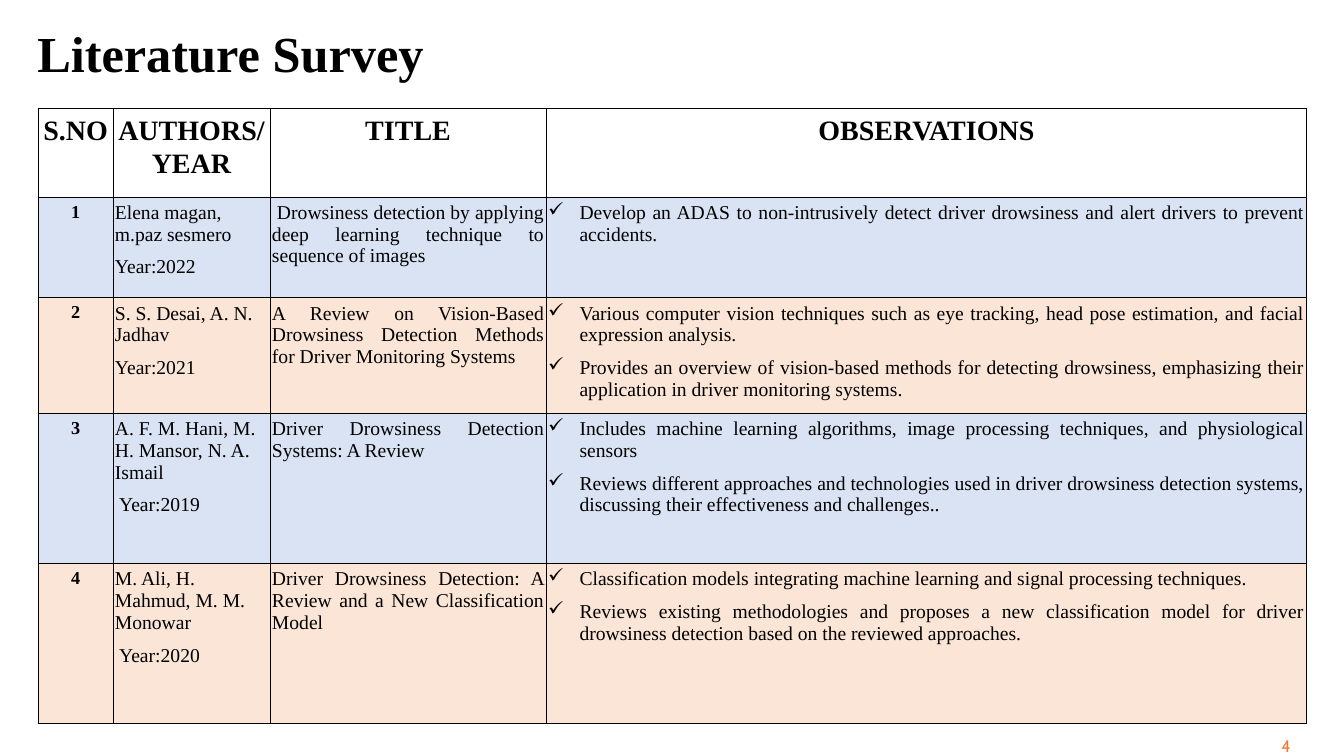
from lxml.etree import SubElement
from pptx import Presentation
from pptx.dml.color import RGBColor
from pptx.enum.text import MSO_ANCHOR, PP_ALIGN
from pptx.oxml import parse_xml
from pptx.oxml.ns import nsdecls, qn
from pptx.util import Pt

COLORS = {
    "text": "000000",
    "border": "000000",
    "header": "FFFFFF",
    "odd": "DAE3F3",
    "even": "FBE5D6",
    "number": "ED7D31",
}
SERIF = "Times New Roman"
COLUMN_WIDTHS = [53.3, 112.3, 197.3, 543.6]
ROW_HEIGHTS = [63.4, 72, 75.6, 107.3, 114.5]
HEADINGS = ["S.NO", "AUTHORS/YEAR", "TITLE", "OBSERVATIONS"]
# Each paper: authors and year, title, observations
PAPERS = [
    (["Elena magan, m.paz sesmero", "Year:2022"],
     " Drowsiness detection by applying deep learning technique to sequence of images",
     ["Develop an ADAS to non-intrusively detect driver drowsiness and alert drivers "
      "to prevent accidents."]),
    (["S. S. Desai, A. N. Jadhav", "Year:2021"],
     "A Review on Vision-Based Drowsiness Detection Methods for Driver Monitoring Systems",
     ["Various computer vision techniques such as eye tracking, head pose estimation, "
      "and facial expression analysis.",
      "Provides an overview of vision-based methods for detecting drowsiness, emphasizing "
      "their application in driver monitoring systems."]),
    (["A. F. M. Hani, M. H. Mansor, N. A. Ismail", " Year:2019"],
     "Driver Drowsiness Detection Systems: A Review",
     ["Includes machine learning algorithms, image processing techniques, and "
      "physiological sensors",
      "Reviews different approaches and technologies used in driver drowsiness detection "
      "systems, discussing their effectiveness and challenges.."]),
    (["M. Ali, H. Mahmud, M. M. Monowar", " Year:2020"],
     "Driver Drowsiness Detection: A Review and a New Classification Model",
     ["Classification models integrating machine learning and signal processing techniques.",
      "Reviews existing methodologies and proposes a new classification model for driver "
      "drowsiness detection based on the reviewed approaches."]),
]


def add_run(paragraph, text, size, color="text", font=SERIF, bold=False):
    run = paragraph.add_run()
    run.text = text
    run.font.name = font
    run.font.size = Pt(size)
    run.font.bold = bold
    run.font.color.rgb = RGBColor.from_string(COLORS[color])


def add_text_box(slide, box, align):
    frame = slide.shapes.add_textbox(*map(Pt, box)).text_frame
    frame.word_wrap = True
    frame.vertical_anchor = MSO_ANCHOR.MIDDLE
    paragraph = frame.paragraphs[0]
    paragraph.alignment = align
    return paragraph


def add_check_mark(paragraph):
    properties = paragraph._p.get_or_add_pPr()
    properties.set("marL", str(Pt(22.5)))
    properties.set("indent", str(-Pt(22.5)))
    bullet_color = SubElement(properties, qn("a:buClr"))
    SubElement(bullet_color, qn("a:srgbClr")).set("val", COLORS["text"])
    SubElement(properties, qn("a:buChar")).set("char", "✓")


def style_cell(cell, fill):
    cell.margin_left = cell.margin_right = Pt(1.4)
    cell.margin_top = cell.margin_bottom = Pt(3.6)
    cell.fill.solid()
    cell.fill.fore_color.rgb = RGBColor.from_string(COLORS[fill])
    for index, side in enumerate(["lnL", "lnR", "lnT", "lnB"]):
        border = parse_xml(
            f'<a:{side} {nsdecls("a")} w="{Pt(0.45)}"><a:solidFill>'
            f'<a:srgbClr val="{COLORS["border"]}"/></a:solidFill></a:{side}>')
        cell._tc.get_or_add_tcPr().insert(index, border)


def fill_cell(cell, texts, fill, size, align, bold=False, spacing=None, checked=False):
    style_cell(cell, fill)
    frame = cell.text_frame
    for index, text in enumerate(texts):
        paragraph = frame.add_paragraph() if index else frame.paragraphs[0]
        paragraph.alignment = align
        paragraph.space_after = Pt(8)
        if spacing:
            paragraph.line_spacing = spacing
        if checked:
            add_check_mark(paragraph)
        add_run(paragraph, text, size, bold=bold)


def add_title(slide, box):
    paragraph = add_text_box(slide, box, PP_ALIGN.LEFT)
    paragraph.line_spacing = 0.9
    add_run(paragraph, "Literature Survey", 36, bold=True)


def add_survey_table(slide, left, top):
    table = slide.shapes.add_table(
        len(ROW_HEIGHTS), len(COLUMN_WIDTHS), Pt(left), Pt(top),
        Pt(sum(COLUMN_WIDTHS)), Pt(sum(ROW_HEIGHTS))).table
    for column, width in zip(table.columns, COLUMN_WIDTHS):
        column.width = Pt(width)
    for row, height in zip(table.rows, ROW_HEIGHTS):
        row.height = Pt(height)

    # Heading row
    for column, heading in enumerate(HEADINGS):
        fill_cell(table.cell(0, column), [heading], "header", 20,
                  PP_ALIGN.CENTER, bold=True, spacing=1.07)

    # One row per paper
    for row, (authors, title, observations) in enumerate(PAPERS, start=1):
        fill = "odd" if row % 2 else "even"
        number_cell, authors_cell, title_cell, observations_cell = table.rows[row].cells
        fill_cell(number_cell, [str(row)], fill, 13, PP_ALIGN.CENTER, bold=True)
        fill_cell(authors_cell, authors, fill, 14, PP_ALIGN.LEFT)
        fill_cell(title_cell, [title], fill, 14, PP_ALIGN.JUSTIFY)
        fill_cell(observations_cell, observations, fill, 14, PP_ALIGN.JUSTIFY, checked=True)


def add_slide_number(slide, box):
    paragraph = add_text_box(slide, box, PP_ALIGN.RIGHT)
    add_run(paragraph, "4", 12, color="number", font="Cabin")


def main():
    presentation = Presentation()
    presentation.slide_width = Pt(960.5)
    presentation.slide_height = Pt(540)
    slide = presentation.slides.add_slide(presentation.slide_layouts[6])
    add_title(slide, (19.6, 12.2, 868, 55.4))
    add_survey_table(slide, 27.4, 77.3)
    add_slide_number(slide, (846.7, 518.4, 82.8, 28.8))
    presentation.save("out.pptx")


if __name__ == "__main__":
    main()
